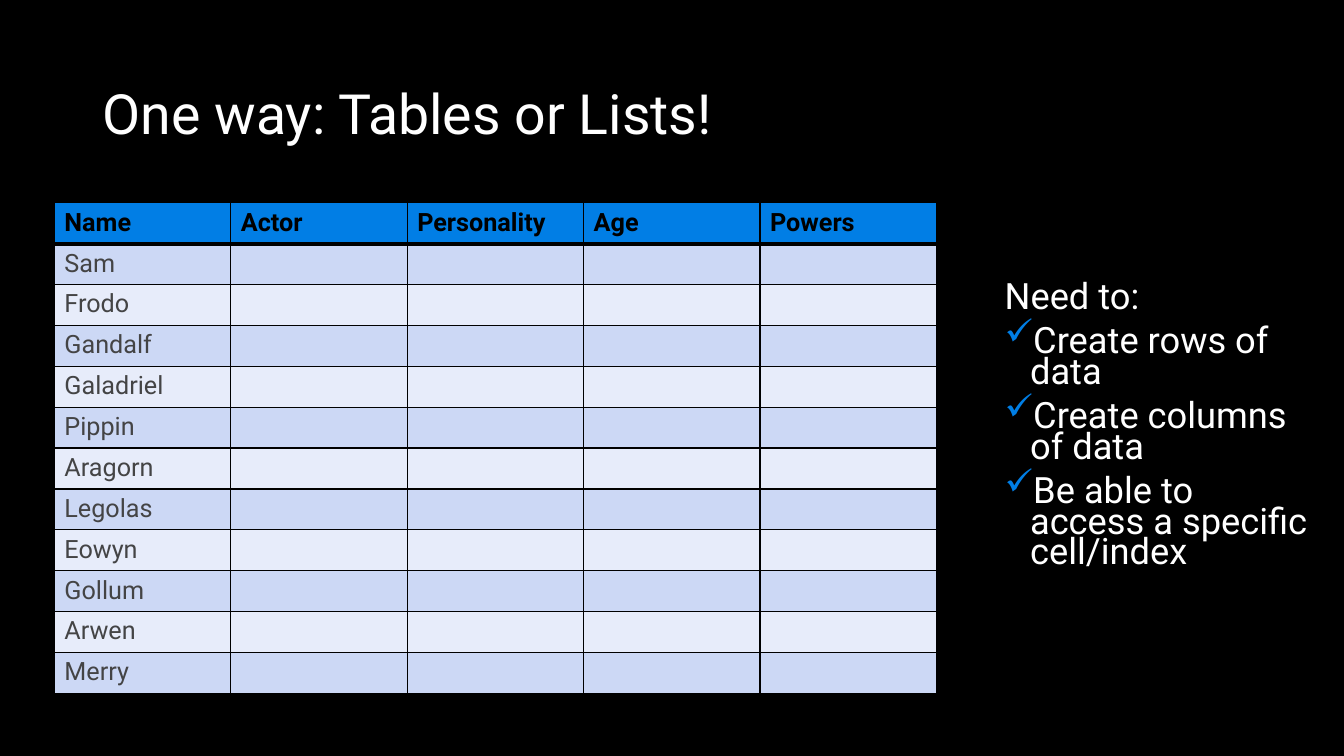
from lxml import etree
from pptx import Presentation
from pptx.dml.color import RGBColor
from pptx.enum.text import MSO_ANCHOR
from pptx.oxml.ns import qn
from pptx.util import Cm, Pt

MIDDLE = MSO_ANCHOR.MIDDLE
TOP = MSO_ANCHOR.TOP

COLORS = {
    "background": "000000",
    "text": "FFFFFF",
    "check": "007EE5",
    "header": "017EE5",
    "header text": "000000",
    "cell text": "444445",
    "border": "000000",
    "odd row": "CCD8F5",
    "even row": "E7ECFA",
}
HEADINGS = ["Name", "Actor", "Personality", "Age", "Powers"]
CHARACTERS = ["Sam", "Frodo", "Gandalf", "Galadriel", "Pippin", "Aragorn",
              "Legolas", "Eowyn", "Gollum", "Arwen", "Merry"]
NEEDS = ["Create rows of data", "Create columns of data",
         "Be able to access a specific cell/index"]


class SlideBuilder:
    font_name = "Roboto"
    check_indent = Cm(0.64)

    def __init__(self, presentation):
        self.slide = presentation.slides.add_slide(presentation.slide_layouts[6])
        background = self.slide.background.fill
        background.solid()
        background.fore_color.rgb = self.color("background")

    def color(self, name):
        return RGBColor.from_string(COLORS[name])

    def add_run(self, paragraph, text, size, color, bold=False):
        run = paragraph.add_run()
        run.text = text
        formats = {"name": self.font_name, "size": Pt(size), "bold": bold}
        for name, value in formats.items():
            setattr(run.font, name, value)
        run.font.color.rgb = self.color(color)

    def add_check(self, paragraph):
        """Give the paragraph a hanging check mark as its bullet."""
        properties = paragraph._p.get_or_add_pPr()
        properties.set("marL", str(self.check_indent))
        properties.set("indent", str(-self.check_indent))
        bullet_color = etree.SubElement(properties, qn("a:buClr"))
        etree.SubElement(bullet_color, qn("a:srgbClr"), val=COLORS["check"])
        etree.SubElement(properties, qn("a:buChar"), char="✓")

    def add_text(self, box, lines, size, line_spacing, anchor=TOP, space_before=0):
        """Write (text, checked) lines into a new text box."""
        frame = self.slide.shapes.add_textbox(*map(Cm, box)).text_frame
        frame.word_wrap = True
        frame.vertical_anchor = anchor
        for index, (text, checked) in enumerate(lines):
            paragraph = frame.add_paragraph() if index else frame.paragraphs[0]
            if checked:
                self.add_check(paragraph)
            paragraph.line_spacing = line_spacing
            if index:
                paragraph.space_before = Pt(space_before)
            self.add_run(paragraph, text, size, "text")

    def add_borders(self, cell, bottom_width):
        properties = cell._tc.get_or_add_tcPr()
        widths = {"a:lnL": 1, "a:lnR": 1, "a:lnT": 1, "a:lnB": bottom_width}
        for tag, width in widths.items():
            line = etree.SubElement(properties, qn(tag), w=str(Pt(width)))
            fill = etree.SubElement(line, qn("a:solidFill"))
            etree.SubElement(fill, qn("a:srgbClr"), val=COLORS["border"])

    def add_table(self, box, rows):
        """Add a table whose first row is the header."""
        table = self.slide.shapes.add_table(
            len(rows), len(rows[0]), *map(Cm, box)).table
        for row_index, row in enumerate(rows):
            is_header = row_index == 0
            band = "odd row" if row_index % 2 else "even row"
            for column_index, text in enumerate(row):
                cell = table.cell(row_index, column_index)
                self.add_borders(cell, 3 if is_header else 1)
                cell.fill.solid()
                cell.fill.fore_color.rgb = self.color("header" if is_header else band)
                if text:
                    self.add_run(cell.text_frame.paragraphs[0], text, 18,
                                 "header text" if is_header else "cell text",
                                 bold=is_header)


def main():
    presentation = Presentation()
    presentation.slide_width = Cm(33.87)
    presentation.slide_height = Cm(19.05)

    builder = SlideBuilder(presentation)
    builder.add_text((2.34, 2.03, 29.21, 1.83),
                     [("One way: Tables or Lists!", False)],
                     size=39.6, line_spacing=0.9, anchor=MIDDLE)
    empty_cells = [""] * (len(HEADINGS) - 1)
    builder.add_table((1.37, 5.11, 22.23, 12.37),
                      [HEADINGS] + [[name] + empty_cells for name in CHARACTERS])
    builder.add_text((25.07, 7.06, 8.26, 7.67),
                     [("Need to:", False)] + [(need, True) for need in NEEDS],
                     size=25.9, line_spacing=0.7, space_before=10)

    presentation.save("out.pptx")


if __name__ == "__main__":
    main()
